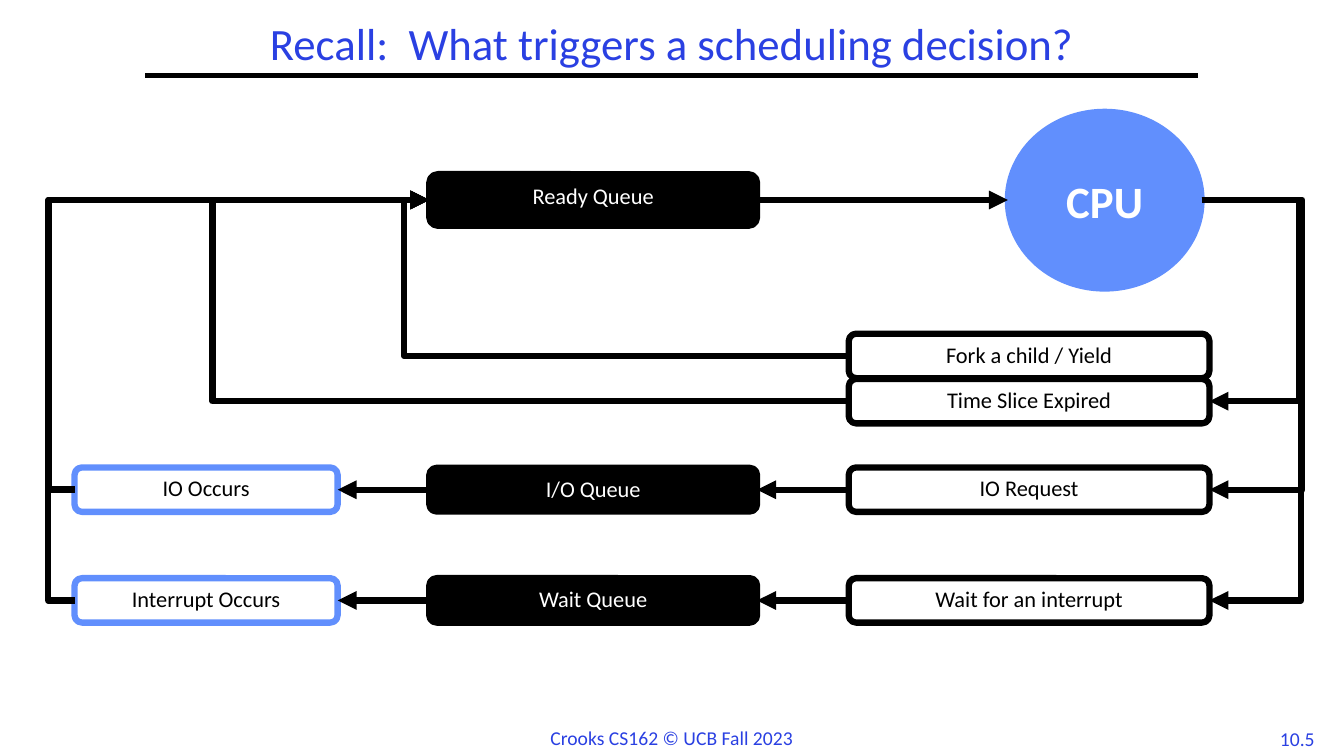
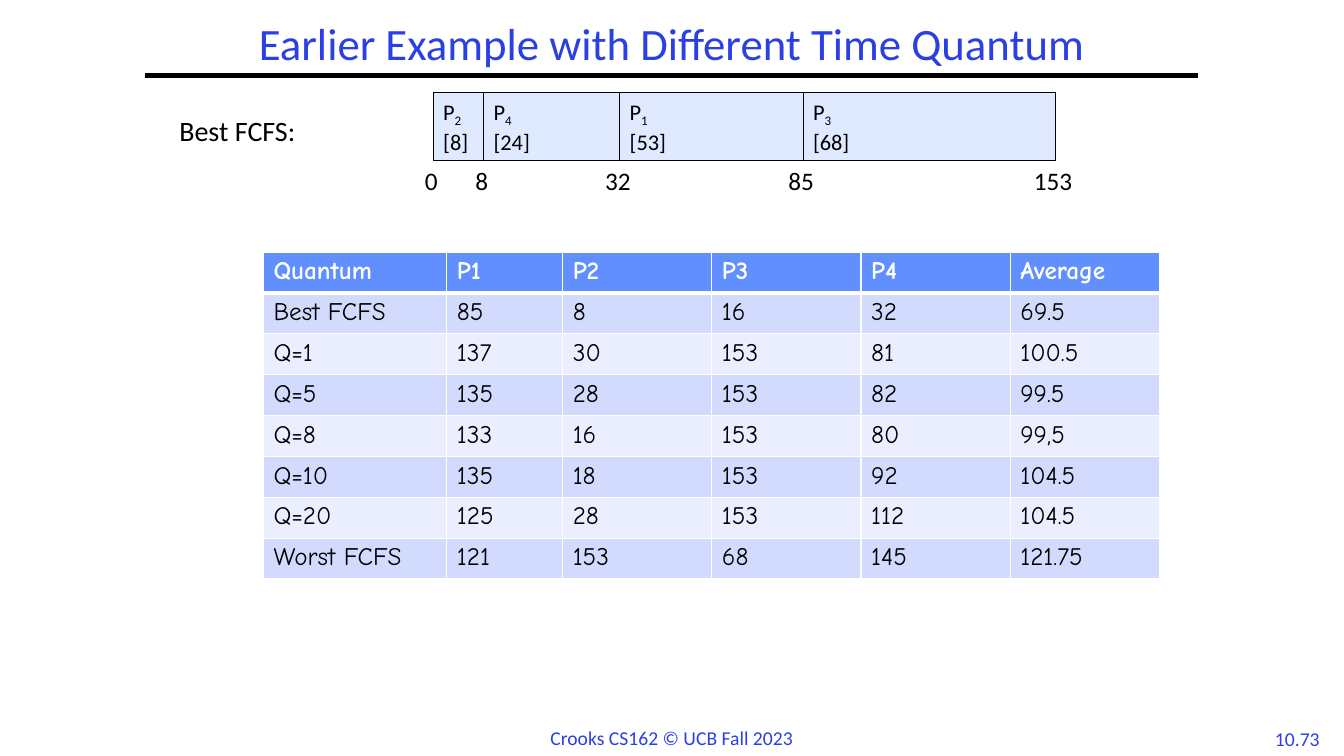
from dataclasses import dataclass
from itertools import pairwise
from typing import NamedTuple

from lxml import etree
from pptx import Presentation
from pptx import util as u
from pptx.dml.color import RGBColor
from pptx.enum import shapes, text
from pptx.oxml import ns

LEFT, MID = text.PP_ALIGN.LEFT, text.PP_ALIGN.CENTER
TOP, CENTER = text.MSO_ANCHOR.TOP, text.MSO_ANCHOR.MIDDLE


@dataclass(frozen=True)
class Theme:
    font: str = "Calibri"
    grid_font: str = "Comic Neue"
    ink: str = "000000"
    paper: str = "FFFFFF"
    title: str = "2A40E2"
    accent: str = "618FFD"
    bar: str = "DFE9FF"
    bands: tuple[str, str] = ("D2DBFE", "EAEEFF")
    head_size: float = 32
    body_size: float = 20
    time_size: float = 18
    box_size: float = 16
    foot_size: float = 14
    thick: float = 4.5
    rule: float = 3
    thin: float = 0.75


T = Theme()


class Look(NamedTuple):
    size: float
    color: str = T.ink
    bold: bool = False
    align: text.PP_ALIGN = MID
    anchor: text.MSO_ANCHOR = CENTER
    font: str = T.font


class Area(NamedTuple):
    """Left, top, width and height in centimetres."""
    left: float
    top: float
    width: float
    height: float

    def cm(self) -> list[u.Length]:
        return [u.Cm(side) for side in self]


class Box(NamedTuple):
    label: str
    left: float
    mid: float
    width: float
    height: float
    fill: str
    line: str
    color: str


class Route(NamedTuple):
    """An elbow arrow that turns up or down at x = turn."""
    start: tuple[float, float]
    end: tuple[float, float]
    turn: float


class Bar(NamedTuple):
    job: str
    span: str
    start: float


WIDE, HIGH = 33.87, 19.05

# Heights of the flow chart's lanes
READY, FORK, SLICE, REQUEST, WAIT = 5.04, 8.97, 10.11, 12.34, 15.13
CPU = Area(25.4, 2.82, 4.88, 4.45)


def queue(label: str, mid: float, height: float) -> Box:
    return Box(label, 10.82, mid, 8.26, height, T.ink, T.ink, T.paper)


def cause(label: str, mid: float) -> Box:
    return Box(label, 21.39, mid, 9.09, 1.12, T.paper, T.ink, T.ink)


def event(label: str, mid: float) -> Box:
    return Box(label, 1.88, mid, 6.63, 1.12, T.paper, T.accent, T.ink)


BOXES = [
    queue("Ready Queue", READY, 1.3),
    queue("I/O Queue", REQUEST, 1.1),
    queue("Wait Queue", WAIT, 1.12),
    cause("Wait for an interrupt", WAIT),
    cause("Time Slice Expired", SLICE),
    cause("IO Request", REQUEST),
    cause("Fork a child / Yield", FORK),
    event("Interrupt Occurs", WAIT),
    event("IO Occurs", REQUEST),
]
LINKS = [
    ("IO Request", "I/O Queue"),
    ("Wait for an interrupt", "Wait Queue"),
    ("Wait Queue", "Interrupt Occurs"),
    ("I/O Queue", "IO Occurs"),
]
EXITS = [(WAIT, 32.79), (REQUEST, 32.82), (SLICE, 32.74)]
BACKS = [(1.88, REQUEST, 1.24), (1.88, WAIT, 1.22),
         (21.39, FORK, 10.19), (21.39, SLICE, 5.36)]
ROUTES = [Route((30.28, READY), (30.48, mid), turn) for mid, turn in EXITS]
ROUTES += [Route((left, mid), (10.82, READY), turn)
           for left, mid, turn in BACKS]

BARS = [Bar("2", "[8]", 10.92), Bar("4", "[24]", 12.19),
        Bar("1", "[53]", 15.62), Bar("3", "[68]", 20.24)]
LAST = 26.59
TIMES = ["0", "8", "32", "85", "153"]

GRID = [
    ["Quantum", "P1", "P2", "P3", "P4", "Average"],
    ["Best FCFS", "85", "8", "16", "32", "69.5"],
    ["Q=1", "137", "30", "153", "81", "100.5"],
    ["Q=5", "135", "28", "153", "82", "99.5"],
    ["Q=8", "133", "16", "153", "80", "99,5"],
    ["Q=10", "135", "18", "153", "92", "104.5"],
    ["Q=20", "125", "28", "153", "112", "104.5"],
    ["Worst FCFS", "121", "153", "68", "145", "121.75"],
]
COLS = [4.62, 2.92] + [3.76] * 4
ROW = 1.03


def rgb(code: str) -> RGBColor:
    return RGBColor.from_string(code)


def style(para, look: Look) -> None:
    para.alignment = look.align
    for run in para.runs:
        run.font.name = look.font
        run.font.size = u.Pt(look.size)
        run.font.bold = look.bold
        run.font.color.rgb = rgb(look.color)


def write(frame, words: str, look: Look, wrap: bool = True) -> None:
    frame.text = words
    frame.word_wrap = wrap
    frame.vertical_anchor = look.anchor
    for para in frame.paragraphs:
        style(para, look)


def note(slide, area: Area, words: str, look: Look, wrap: bool = True):
    """Add a text box."""
    box = slide.shapes.add_textbox(*area.cm())
    write(box.text_frame, words, look, wrap)
    return box


def block(slide, kind, area: Area, fill: str, line: str, width: float):
    """Add a filled and outlined preset shape."""
    shape = slide.shapes.add_shape(kind, *area.cm())
    shape.shadow.inherit = False
    shape.fill.solid()
    shape.fill.fore_color.rgb = rgb(fill)
    shape.line.color.rgb = rgb(line)
    shape.line.width = u.Pt(width)
    return shape


def line(slide, start: tuple, end: tuple, width: float = T.thick,
         arrow: bool = True, kind=shapes.MSO_CONNECTOR.STRAIGHT):
    link = slide.shapes.add_connector(
        kind, *(u.Cm(pos) for pos in start + end))
    link.line.color.rgb = rgb(T.ink)
    link.line.width = u.Pt(width)
    if arrow:
        tail = etree.SubElement(link.line._get_or_add_ln(),
                                ns.qn("a:tailEnd"))
        tail.set("type", "triangle")
    etree.SubElement(link._element.spPr, ns.qn("a:effectLst"))
    return link


def elbow(slide, route: Route) -> None:
    link = line(slide, route.start, route.end,
                kind=shapes.MSO_CONNECTOR.ELBOW)
    first, last = route.start[0], route.end[0]
    ratio = (route.turn - first) / (last - first)
    geom = link._element.spPr.find(ns.qn("a:prstGeom"))
    guides = geom.find(ns.qn("a:avLst"))
    if guides is None:
        guides = etree.SubElement(geom, ns.qn("a:avLst"))
    guide = etree.SubElement(guides, ns.qn("a:gd"))
    guide.set("name", "adj1")
    guide.set("fmla", f"val {round(ratio * 100000)}")


def page(deck, title: str, number: str):
    """Add a slide with the shared title, rule and footer."""
    slide = deck.slides.add_slide(deck.slide_layouts[6])
    foot = Look(T.foot_size, T.title, anchor=TOP)
    note(slide, Area(31.83, 18.19, 1.73, 0.84), number, foot, False)
    line(slide, (3.66, 1.9), (30.2, 1.9), T.rule, arrow=False)
    note(slide, Area(13.59, 18.16, 6.68, 0.86),
         "Crooks CS162 © UCB Fall 2023", foot, False)
    head = note(slide, Area(0, 0.43, WIDE, 1.47), title,
                Look(T.head_size, T.title))
    head.text_frame.paragraphs[0].line_spacing = 0.9
    return slide


def flow(slide) -> None:
    """Draw the scheduling flow chart."""
    cpu = block(slide, shapes.MSO_SHAPE.OVAL, CPU, T.accent, T.accent, T.thick)
    write(cpu.text_frame, "CPU", Look(T.head_size, T.paper, True))
    made = {}
    for box in BOXES:
        area = Area(box.left, box.mid - box.height / 2, box.width, box.height)
        shape = block(slide, shapes.MSO_SHAPE.ROUNDED_RECTANGLE, area,
                      box.fill, box.line, T.thick)
        write(shape.text_frame, box.label,
              Look(T.box_size, box.color, anchor=TOP))
        made[box.label] = shape
    start = line(slide, (19.08, READY), (CPU.left, READY))
    start.begin_connect(made["Ready Queue"], 3)
    for source, goal in LINKS:
        link = line(slide, (0, 0), (1, 1))
        link.begin_connect(made[source], 1)
        link.end_connect(made[goal], 3)
    for route in ROUTES:
        elbow(slide, route)


def chart(slide) -> None:
    """Draw the timeline of jobs with its time marks."""
    look = Look(T.box_size, align=LEFT)
    edges = [bar.start for bar in BARS] + [LAST]
    for bar, (left, right) in zip(BARS, pairwise(edges)):
        shape = block(slide, shapes.MSO_SHAPE.RECTANGLE,
                      Area(left, 2.34, right - left, 1.7),
                      T.bar, T.ink, T.thin)
        write(shape.text_frame, f"P\n{bar.span}", look)
        name = shape.text_frame.paragraphs[0]
        sub = name.add_run()
        sub.text = bar.job
        style(name, look)
        sub.font._element.set("baseline", "-25000")
    for time, edge in zip(TIMES, edges):
        note(slide, Area(edge - 1, 4.04, 1.9, 1), time, Look(T.time_size))
    note(slide, Area(4.27, 2.74, 5.11, 1.12), "Best FCFS:",
         Look(T.body_size, align=LEFT, anchor=TOP))


def border(cell, sides: dict[str, float]) -> None:
    for spot, (side, width) in enumerate(sides.items()):
        edge = etree.Element(ns.qn(f"a:ln{side}"), w=str(u.Pt(width)))
        fill = etree.SubElement(edge, ns.qn("a:solidFill"))
        etree.SubElement(fill, ns.qn("a:srgbClr"), val=T.paper)
        cell._tc.get_or_add_tcPr().insert(spot, edge)


def table(slide) -> None:
    area = Area(6.64, 6.35, sum(COLS), ROW * len(GRID))
    grid = slide.shapes.add_table(len(GRID), len(COLS), *area.cm()).table
    for col, width in zip(grid.columns, COLS):
        col.width = u.Cm(width)
    for i, row in enumerate(GRID):
        grid.rows[i].height = u.Cm(ROW)
        head = i == 0
        look = Look(T.time_size, T.paper if head else T.ink, head,
                    LEFT, TOP, T.grid_font)
        for j, words in enumerate(row):
            cell = grid.cell(i, j)
            write(cell.text_frame, words, look)
            cell.fill.solid()
            cell.fill.fore_color.rgb = rgb(
                T.accent if head else T.bands[(i - 1) % 2])
            border(cell, {"L": 1, "R": 1, "T": 3 if i == 1 else 1,
                          "B": 3 if head else 1})


def main() -> None:
    deck = Presentation()
    deck.slide_width, deck.slide_height = u.Cm(WIDE), u.Cm(HIGH)
    flow(page(deck, "Recall:  What triggers a scheduling decision?", "10.5"))
    plan = page(deck, "Earlier Example with Different Time Quantum", "10.73")
    chart(plan)
    table(plan)
    deck.save("out.pptx")


if __name__ == "__main__":
    main()
